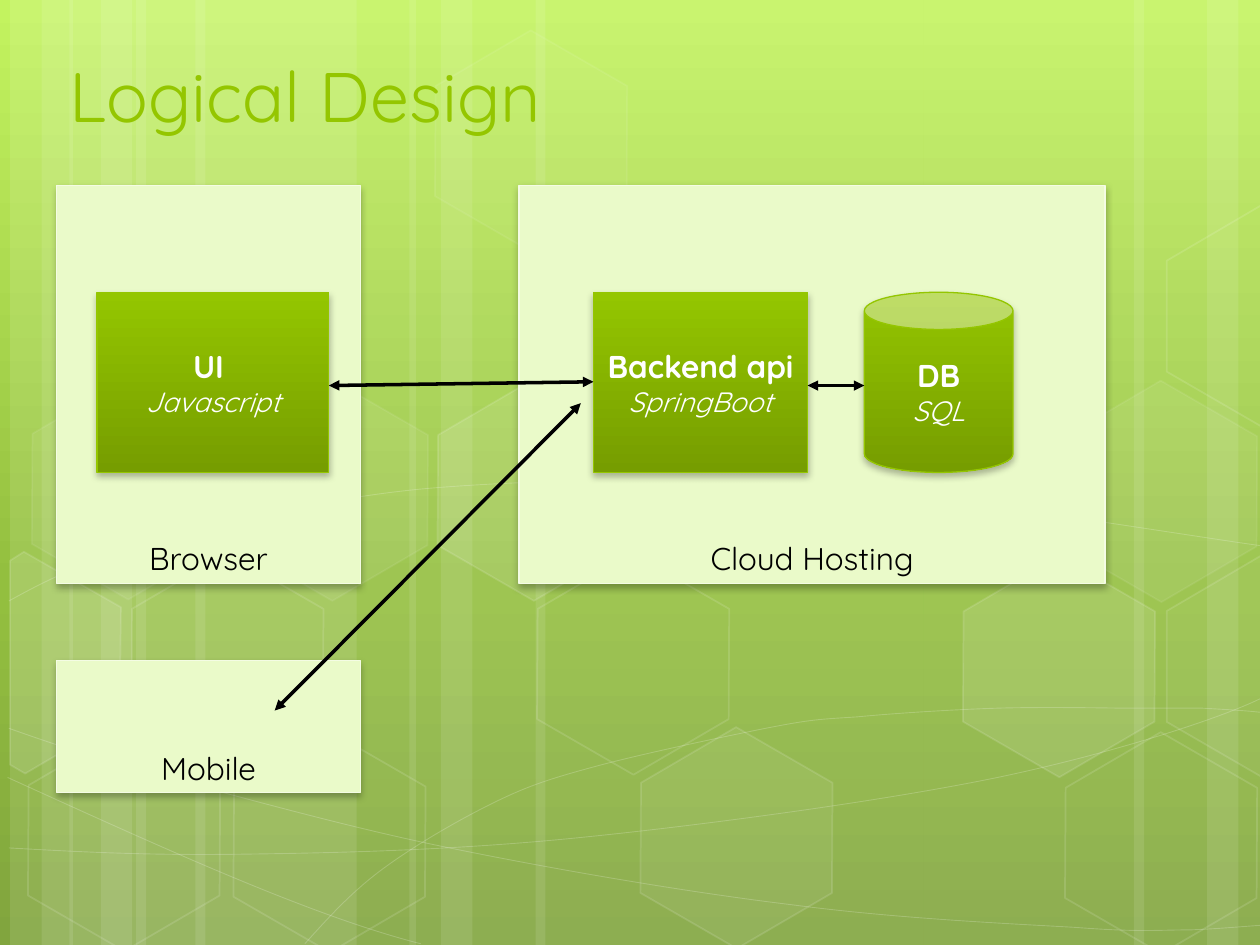
from dataclasses import dataclass

from lxml import etree
from pptx import Presentation
from pptx.dml.color import RGBColor
from pptx.enum.shapes import MSO_CONNECTOR, MSO_SHAPE
from pptx.enum.text import MSO_ANCHOR, PP_ALIGN
from pptx.oxml.ns import qn
from pptx.util import Inches, Pt

RECTANGLE, CAN, HEXAGON = MSO_SHAPE.RECTANGLE, MSO_SHAPE.CAN, MSO_SHAPE.HEXAGON
STRAIGHT = MSO_CONNECTOR.STRAIGHT
MIDDLE, BOTTOM = MSO_ANCHOR.MIDDLE, MSO_ANCHOR.BOTTOM
LEFT, CENTER = PP_ALIGN.LEFT, PP_ALIGN.CENTER

WIDTH, HEIGHT = 10, 7.5
FONT = "Quicksand"
COLORS = {"white": "FFFFFF", "black": "000000", "green": "94C600", "dark": "769D00",
          "panel": "EAFAC9", "edge": "F4FCE4",
          "sky": "C3F35F", "meadow": "93BF3F", "ground": "81A53E"}


@dataclass
class Node:
    box: tuple
    title: str
    detail: str = ""
    kind: int = RECTANGLE


@dataclass
class Hexagon:
    left: float
    top: float
    fill: int
    line: int


# Background stripes: left and width
STRIPES = [(1.08, 1.75), (0.08, 0.5), (0.33, 0.83), (1.55, 1.75), (0.55, 0.5), (0.8, 0.83),
           (7.33, 1.75), (9.58, 0.5), (9, 0.83), (4.25, 3.08), (3.25, 0.5), (3.5, 0.83)]

# Background curves: a start point, then two controls and an end for each segment
CURVES = [
    [(0.07, 6.73), (0.61, 6.76), (1.15, 6.79), (1.9, 6.78), (2.65, 6.77), (3.58, 6.75),
     (4.58, 6.65), (5.58, 6.55), (7, 6.36), (7.92, 6.17), (8.83, 5.98), (9.77, 5.68),
     (10.07, 5.51)],
    [(0.07, 4.77), (0.36, 4.61), (0.65, 4.46), (1.21, 4.31), (1.78, 4.16), (2.59, 3.94),
     (3.47, 3.87), (4.36, 3.8), (5.44, 3.79), (6.54, 3.87), (7.64, 3.95), (9.47, 4.26),
     (10.07, 4.34)],
    [(0.06, 6.17), (1.27, 6.72), (2.47, 7.27), (3.34, 7.49)],
    [(0.07, 5.78), (0.38, 5.89), (0.7, 6), (1.28, 6.16), (1.86, 6.31), (2.73, 6.56),
     (3.57, 6.73), (4.4, 6.9), (5.45, 7.08), (6.28, 7.18), (7.11, 7.29), (8, 7.33),
     (8.53, 7.36), (9.05, 7.4), (9.19, 7.38), (9.45, 7.38), (9.71, 7.37), (9.89, 7.35),
     (10.07, 7.34)],
    [(2.42, 7.49), (2.6, 7.29), (2.78, 7.09), (3.02, 6.91), (3.26, 6.73), (3.6, 6.53),
     (3.88, 6.39), (4.16, 6.25), (4.33, 6.19), (4.7, 6.09), (5.06, 5.99), (5.73, 5.85),
     (6.08, 5.78), (6.44, 5.71), (6.49, 5.71), (6.8, 5.69), (7.11, 5.66), (7.6, 5.63),
     (7.94, 5.62), (8.29, 5.61), (8.86, 5.62), (8.86, 5.62), (9.08, 5.62), (9.3, 5.62),
     (9.53, 5.62), (9.71, 5.63), (9.88, 5.64), (9.97, 5.65), (10.06, 5.66), (10.03, 5.65),
     (10.06, 5.66)],
]

HEXAGONS = [Hexagon(*row) for row in [
    (3.36, 3.13, 10, 12), (4.15, 4.51, 0, 12), (4.16, 1.74, 7, 8), (3.34, 0.36, 4, 8),
    (4.97, 5.89, 6, 12), (0.11, 5.91, 0, 12), (0.14, 3.12, 7, 8), (0.93, 4.51, 0, 12),
    (1.74, 5.92, 0, 12), (1.76, 3.13, 7, 8), (0.96, 1.71, 0, 12), (7.53, 4.53, 10, 12),
    (8.34, 5.93, 0, 12), (8.34, 3.14, 7, 8)]]

# Hexagons cut by the slide's edge: points and fill opacity
CUT_HEXAGONS = [
    ([(0.08, 4.45), (0.19, 4.38), (0.96, 4.82), (0.95, 5.7), (0.2, 6.14), (0.08, 6.07)], 10),
    ([(9.26, 4.85), (10.01, 4.41), (10.09, 4.46), (10.09, 6.13), (10.02, 6.17),
      (9.26, 5.73)], 4),
    ([(9.26, 2.07), (10.01, 1.63), (10.1, 1.68), (10.09, 3.35), (10.02, 3.39),
      (9.26, 2.95)], 0),
]

PANELS = [Node((0.45, 1.47, 2.41, 3.16), "Browser"),
          Node((4.12, 1.47, 4.65, 3.16), "Cloud Hosting"),
          Node((0.45, 5.24, 2.41, 1.05), "Mobile")]
PARTS = [Node((0.77, 2.32, 1.84, 1.43), "UI ", "Javascript"),
         Node((4.71, 2.32, 1.7, 1.43), "Backend api ", "SpringBoot"),
         Node((6.86, 2.32, 1.18, 1.43), "DB", "SQL", CAN)]
ARROWS = [((2.61, 3.06), (4.71, 3.03)), ((6.41, 3.06), (6.86, 3.06)),
          ((2.18, 5.64), (4.61, 3.2))]


def rgb(name: str) -> RGBColor:
    return RGBColor.from_string(COLORS[name])


def add_xml(parent, tag: str, **attributes):
    return etree.SubElement(parent, qn(tag), {key: str(value) for key, value in attributes.items()})


def set_gradient(fill, owner, stops: list) -> None:
    """Fill from top to bottom with (percent, colour name) stops."""
    fill.gradient()
    fill.gradient_angle = 270
    stop_list = owner.find(".//" + qn("a:gsLst"))
    for old in list(stop_list):
        stop_list.remove(old)
    for percent, name in stops:
        stop = add_xml(stop_list, "a:gs", pos=percent * 1000)
        add_xml(stop, "a:srgbClr", val=COLORS[name])


def set_glass(shape, fill: int = 0, line: int = 0, width: float = 1) -> None:
    """Give white fill and line with opacities in percent; zero means none."""
    shape.shadow.inherit = False
    for target, opacity in ((shape.fill, fill), (shape.line.fill, line)):
        if opacity:
            target.solid()
            target.fore_color.rgb = rgb("white")
        else:
            target.background()
    if line:
        shape.line.width = Pt(width)
    opacities = [opacity for opacity in (fill, line) if opacity]
    for color, opacity in zip(shape.element.spPr.iter(qn("a:srgbClr")), opacities):
        add_xml(color, "a:alpha", val=opacity * 1000)


def add_shape(slide, kind: int, box: tuple):
    return slide.shapes.add_shape(kind, *map(Inches, box))


def add_outline(slide, points: list, close: bool):
    """Draw a freeform through points given in inches."""
    units = [(round(x * 100), round(y * 100)) for x, y in points]
    builder = slide.shapes.build_freeform(*units[0], scale=Inches(0.01))
    builder.add_line_segments(units[1:], close=close)
    return builder.convert_to_shape()


def add_curve(slide, knots: list):
    """Draw a freeform whose points are read in threes as Bezier segments."""
    curve = add_outline(slide, knots, False)
    track = curve.element.spPr.find(".//" + qn("a:path"))
    steps = track.findall(qn("a:lnTo"))
    for first in range(0, len(steps), 3):
        segment = add_xml(track, "a:cubicBezTo")
        for step in steps[first:first + 3]:
            segment.append(step[0])
            track.remove(step)
    return curve


def write(para, text: str, *, size: float, color: str, bold: bool = False,
          italic: bool = False, align: int = CENTER) -> None:
    para.alignment = align
    span = para.add_run()
    span.text = text
    font = span.font
    font.name, font.size, font.bold, font.italic = FONT, Pt(size), bold, italic
    font.color.rgb = rgb(color)


def add_node(slide, node: Node) -> None:
    shape = add_shape(slide, node.kind, node.box)
    frame = shape.text_frame
    frame.word_wrap = True
    if node.detail:
        set_gradient(shape.fill, shape.element.spPr, [(0, "green"), (100, "dark")])
        frame.vertical_anchor = MIDDLE
        write(frame.paragraphs[0], node.title, size=18, color="white", bold=True)
        write(frame.add_paragraph(), node.detail, size=16, color="white", italic=True)
    else:
        shape.fill.solid()
        shape.fill.fore_color.rgb = rgb("panel")
        frame.vertical_anchor = BOTTOM
        write(frame.paragraphs[0], node.title, size=18, color="black")
    shape.line.color.rgb = rgb("green" if node.detail else "edge")
    shape.line.width = Pt(0.75)
    effects = add_xml(shape.element.spPr, "a:effectLst")
    shadow = add_xml(effects, "a:outerShdw", blurRad=Pt(4), dist=Pt(2), dir=5400000,
                     rotWithShape=0)
    add_xml(add_xml(shadow, "a:srgbClr", val=COLORS["black"]), "a:alpha", val=28000)


def add_arrow(slide, start: tuple, end: tuple) -> None:
    arrow = slide.shapes.add_connector(STRAIGHT, *map(Inches, start + end))
    arrow.line.color.rgb = rgb("black")
    arrow.line.width = Pt(2)
    line = arrow.element.spPr.find(qn("a:ln"))
    for tag in ("a:headEnd", "a:tailEnd"):
        add_xml(line, tag, type="triangle")
    add_xml(arrow.element.spPr, "a:effectLst")


deck = Presentation()
deck.slide_width, deck.slide_height = Inches(WIDTH), Inches(HEIGHT)
page = deck.slides.add_slide(deck.slide_layouts[5])

# Background
set_gradient(page.background.fill, page.element, [(0, "sky"), (62, "meadow"), (100, "ground")])
for left, width in STRIPES:
    set_glass(add_shape(page, RECTANGLE, (left, 0, width, HEIGHT)), fill=10)
for knots in CURVES:
    set_glass(add_curve(page, knots), line=20, width=0.5)
for cell in HEXAGONS:
    hexagon = add_shape(page, HEXAGON, (cell.left, cell.top, 1.75, 1.52))
    hexagon.adjustments[0] = 0.285
    hexagon.rotation = 30
    set_glass(hexagon, fill=cell.fill, line=cell.line)
for points, opacity in CUT_HEXAGONS:
    set_glass(add_outline(page, points, True), fill=opacity, line=12)

# Title
title = page.shapes.title
title.left, title.top, title.width, title.height = map(Inches, (0.45, 0.31, 7.68, 0.82))
title.text_frame.vertical_anchor = BOTTOM
write(title.text_frame.paragraphs[0], "Logical Design", size=40, color="green", align=LEFT)
page.shapes.element.append(title.element)

# Diagram
for node in PANELS + PARTS:
    add_node(page, node)
for start, end in ARROWS:
    add_arrow(page, start, end)

deck.save("out.pptx")
